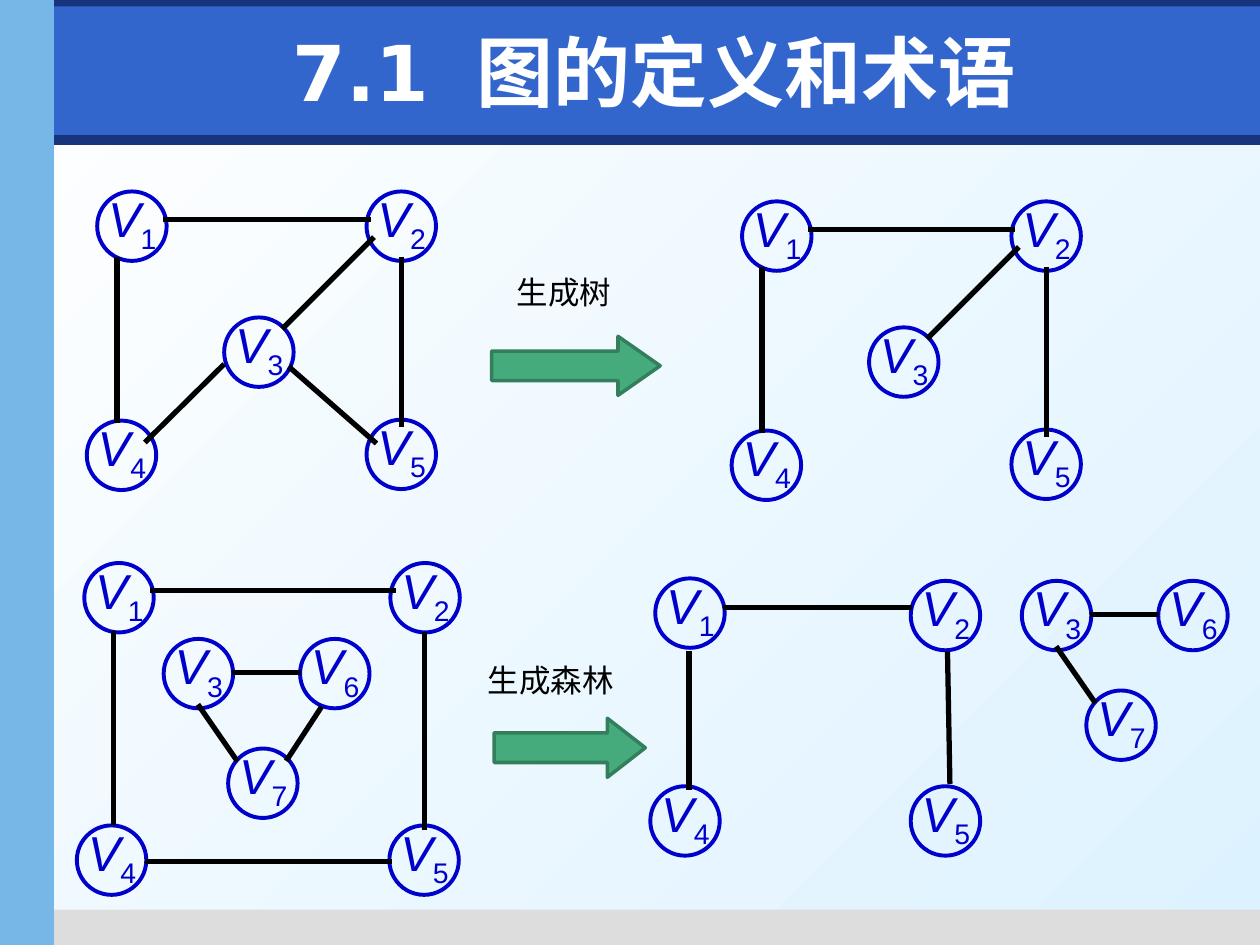
from lxml.etree import SubElement
from pptx import Presentation
from pptx.dml.color import RGBColor
from pptx.enum.shapes import MSO_CONNECTOR, MSO_SHAPE
from pptx.enum.text import MSO_ANCHOR, PP_ALIGN
from pptx.oxml.ns import qn
from pptx.util import Cm, Pt

COLOURS = {
    "navy": "17347D", "banner": "3366CC", "sidebar": "77B7E7", "footer": "DDDDDD",
    "white": "FFFFFF", "pale": "DDF2FF", "vertex": "0000CC", "edge": "000000",
    "arrow": "45AB7D", "arrow_rim": "337F5C",
}
TITLE = {"size": Pt(44), "name": "DejaVu Sans", "bold": True}
CAPTION = {"size": Pt(18), "name": "Arial"}
LETTER = {"size": Pt(28), "name": "Arial", "italic": True}
INDEX = {**LETTER, "italic": False}
TIGHT = {"margin_left": Cm(0.03), "margin_top": Cm(0.08),
         "margin_right": 0, "margin_bottom": Cm(0.03)}
DIAMETER = 1.4

BANDS = [
    (0.1, 2.72, 25.3, 0.2, "navy"),
    (0.89, 18.34, 24.51, 0.71, "footer"),
    (0, -0.08, 25.4, 0.61, "navy"),
    (1.09, 0.13, 24.31, 2.59, "banner"),
    (0, 0, 1.09, 19.05, "sidebar"),
]
FIVE_VERTICES = {1: (1.96, 3.86), 2: (7.39, 3.86), 3: (4.52, 6.4),
                 4: (1.75, 8.48), 5: (7.39, 8.46)}
TREE_EDGES = [(3.28, 4.42, 7.47, 4.42), (7.54, 4.78, 5.69, 6.63),
              (8.1, 5.18, 8.1, 8.61), (2.36, 5.18, 2.36, 8.53)]
CYCLE_EDGES = [(4.52, 7.34, 2.92, 8.92), (5.82, 7.39, 7.59, 8.94)]

SQUARE_VERTICES = {1: (1.7, 11.35), 2: (7.87, 11.35), 4: (1.55, 16.64), 5: (7.85, 16.64)}
SQUARE_EDGES = [(3.02, 11.91, 7.98, 11.91), (8.56, 12.75, 8.56, 16.74),
                (2.29, 12.73, 2.29, 16.64), (2.92, 17.37, 7.9, 17.37)]
TRIANGLE_VERTICES = {3: (3.3, 12.88), 6: (6.05, 12.88), 7: (4.6, 15.09)}
BRANCH_EDGES = [(4.67, 13.56, 6.07, 13.56), (3.99, 14.2, 4.78, 15.34)]
CLOSING_EDGE = (6.48, 14.25, 5.77, 15.34)

PATH_VERTICES = {1: (13.21, 11.66), 2: (18.36, 11.71), 4: (13.11, 15.85), 5: (18.36, 15.85)}
PATH_EDGES = [(14.58, 12.24, 18.39, 12.24), (19.1, 13.13, 19.15, 15.8),
              (13.89, 13.13, 13.89, 15.93)]

GRAPHS = [
    (FIVE_VERTICES, TREE_EDGES + CYCLE_EDGES, (0, 0)),
    (FIVE_VERTICES, TREE_EDGES, (13, 0.2)),
    (SQUARE_VERTICES, SQUARE_EDGES, (0, 0)),
    (TRIANGLE_VERTICES, BRANCH_EDGES + [CLOSING_EDGE], (0, 0)),
    (PATH_VERTICES, PATH_EDGES, (0, 0)),
    (TRIANGLE_VERTICES, BRANCH_EDGES, (17.3, -1.17)),
]
STEPS = [
    ("生成树", (9.78, 5.38, 3.18, 1.27), (9.91, 6.78, 3.4, 1.19), 0.715),
    ("生成森林", (8.94, 13.21, 4.32, 1.27), (9.96, 14.48, 3.05, 1.19), 0.643),
]


def rgb(key):
    """Return the named colour."""
    return RGBColor.from_string(COLOURS[key])


def apply(target, values):
    """Set each attribute of the target from a dict."""
    for key, value in values.items():
        setattr(target, key, value)


def add_figure(slide, preset, box, fill=None, line=None, width=0):
    """Add a preset shape with optional fill and outline."""
    figure = slide.shapes.add_shape(preset, *map(Cm, box))
    figure.shadow.inherit = False
    if fill:
        figure.fill.solid()
        figure.fill.fore_color.rgb = rgb(fill)
    else:
        figure.fill.background()
    if line:
        figure.line.color.rgb = rgb(line)
        figure.line.width = Pt(width)
    else:
        figure.line.fill.background()
    return figure


def add_text(slide, box, runs, colour, align, frame_format):
    """Add a one-paragraph text box and return its runs."""
    frame = slide.shapes.add_textbox(*map(Cm, box)).text_frame
    apply(frame, {"word_wrap": True, **frame_format})
    paragraph = frame.paragraphs[0]
    paragraph.alignment = align
    for words, font_format in runs:
        run = paragraph.add_run()
        run.text = words
        apply(run.font, font_format)
        run.font.color.rgb = rgb(colour)
    return paragraph.runs


def add_vertex(slide, number, left, top):
    """Add a circle labelled V with a subscript number."""
    add_figure(slide, MSO_SHAPE.OVAL, (left, top, DIAMETER, DIAMETER), line="vertex", width=2.25)
    label = add_text(slide, (left + 0.19, top - 0.14, 1.3, 1.65),
                     [("V", LETTER), (str(number), INDEX)],
                     "vertex", PP_ALIGN.JUSTIFY, TIGHT)
    label[1].font._element.set("baseline", "-25000")


def add_edge(slide, ends):
    """Add a thick straight line between two points."""
    edge = slide.shapes.add_connector(MSO_CONNECTOR.STRAIGHT, *map(Cm, ends))
    edge.line.color.rgb = rgb("edge")
    edge.line.width = Pt(3)
    SubElement(edge._element.spPr, qn("a:effectLst"))


def add_graph(slide, vertices, edges, shift):
    """Add a graph moved by the given shift."""
    dx, dy = shift
    for number, (left, top) in vertices.items():
        add_vertex(slide, number, left + dx, top + dy)
    for x1, y1, x2, y2 in edges:
        add_edge(slide, (x1 + dx, y1 + dy, x2 + dx, y2 + dy))


def add_step(slide, caption, caption_box, arrow_box, head):
    """Add a block arrow with its caption above."""
    arrow = add_figure(slide, MSO_SHAPE.RIGHT_ARROW, arrow_box, "arrow", "arrow_rim", 2)
    arrow.adjustments[1] = head
    add_text(slide, caption_box, [(caption, CAPTION)], "edge", PP_ALIGN.CENTER, {})


def add_backdrop(slide):
    """Paint the gradient background and the coloured bands."""
    backdrop = slide.background.fill
    backdrop.gradient()
    backdrop.gradient_angle = 315
    for stop, key in zip(backdrop.gradient_stops, ("white", "pale")):
        stop.color.rgb = rgb(key)
    for *box, key in BANDS:
        add_figure(slide, MSO_SHAPE.RECTANGLE, box, key)


def add_title(slide):
    """Add the heading with a widened gap after its number."""
    runs = [(words, TITLE) for words in ("7.1", " ", "图的定义和术语")]
    heading = add_text(slide, (1.5, 0.33, 23.39, 2.21), runs, "white", PP_ALIGN.CENTER,
                       {"vertical_anchor": MSO_ANCHOR.MIDDLE})
    heading[1].font._element.set("spc", "1200")


def main():
    """Build the slide and save it."""
    deck = Presentation()
    apply(deck, {"slide_width": Cm(25.4), "slide_height": Cm(19.05)})
    slide = deck.slides.add_slide(deck.slide_layouts[6])
    add_backdrop(slide)
    add_title(slide)
    for graph in GRAPHS:
        add_graph(slide, *graph)
    for step in STEPS:
        add_step(slide, *step)
    deck.save("out.pptx")


if __name__ == "__main__":
    main()
